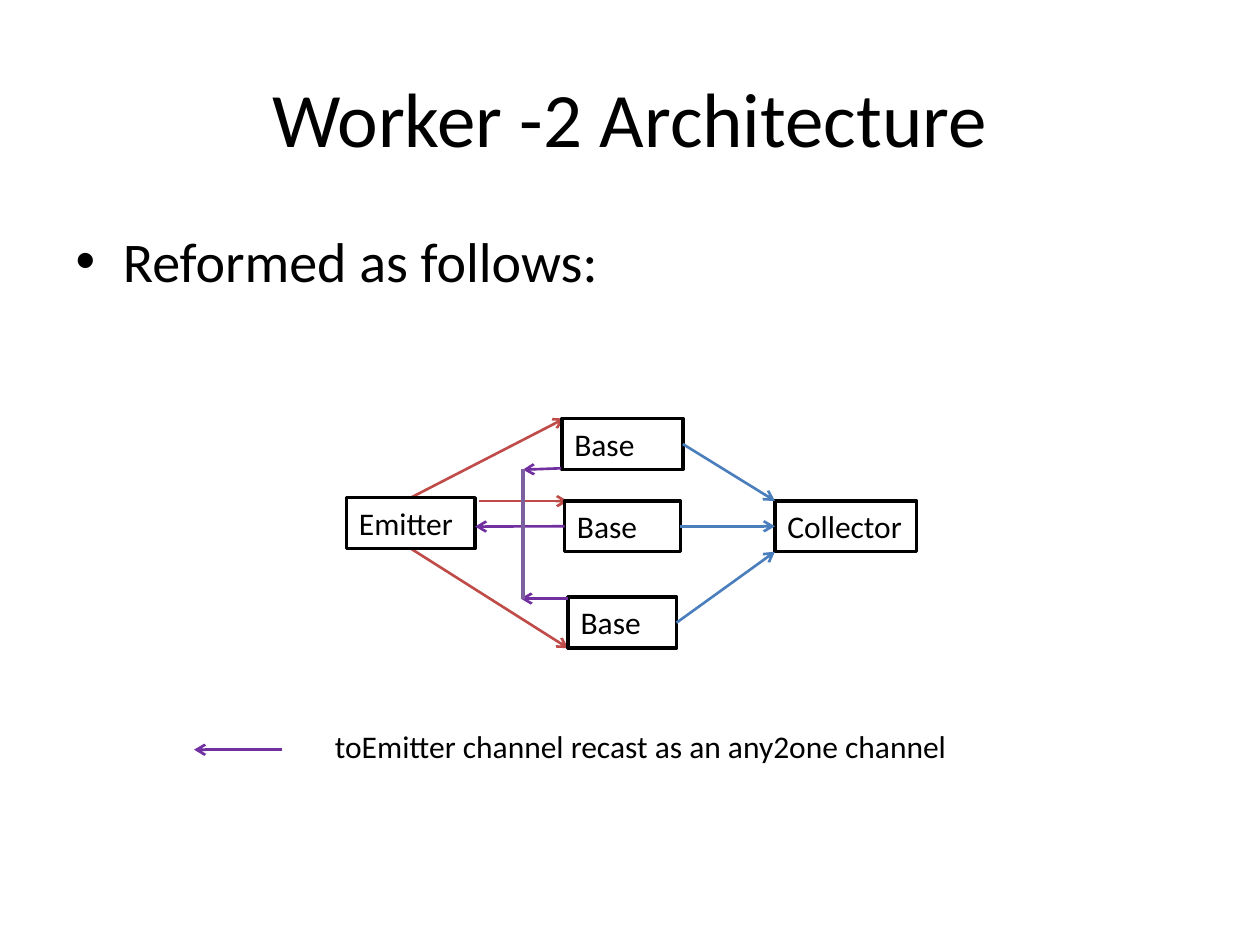
import pptx
import pptx.util
import pptx.dml.color
import pptx.enum.shapes
import pptx.enum.text
from lxml import etree

Pt = pptx.util.Pt
FONT, BLACK, WHITE = "Calibri", "000000", "FFFFFF"
RED, BLUE, PURPLE, VIOLET = "BF4C48", "4B7EBC", "7030A0", "7D60A0"
BOX_HEIGHT = 29.08

TITLE = ("Worker -2 Architecture", (36, 21.6, 648, 90), 44)
BODY = ("Reformed as follows:", (36, 126, 648, 70.6), 32)
LEGEND = ("toEmitter channel recast as an any2one channel", (184.3, 412, 368.6, BOX_HEIGHT))

# name: text, left, top, width
BOXES = {
    "emitter": ("Emitter", 198, 284.4, 73.5),
    "top": ("Base", 321.1, 239.2, 69.1),
    "middle": ("Base", 322.6, 286.2, 66.2),
    "bottom": ("Base", 324.7, 341.3, 61.9),
    "collector": ("Collector", 442.8, 286.2, 80.9),
}


def spot(name, across, down):
    """Return the point at the given fractions of a box's width and height."""
    _, left, top, width = BOXES[name]
    return left + across * width, top + down * BOX_HEIGHT


BUS_X, BUS_TOP, BUS_BOTTOM = 298.8, 268, 342
LEGEND_Y = 428.4
# start, end, colour, width, has arrowhead
TO_WORKERS = [
    (spot("emitter", 0.5, 0), spot("top", 0.02, 0), RED, 1.5, True),
    ((273.6, 286.4), (324.6, 286.4), RED, 1.5, True),
    (spot("emitter", 0.5, 1), spot("bottom", 0, 1), RED, 1.5, True),
]
FROM_WORKERS = [
    (spot("top", 1, 0.5), spot("collector", 0, 0), BLUE, 1.5, True),
    (spot("middle", 1, 0.5), spot("collector", 0, 0.5), BLUE, 1.5, True),
    (spot("bottom", 1, 0.5), spot("collector", 0, 1), BLUE, 1.5, True),
    (spot("middle", 0, 0.5), (271.5, 300.9), PURPLE, 1.5, True),
    ((324.7, BUS_BOTTOM), (297.5, BUS_BOTTOM), PURPLE, 1.5, True),
    ((320.6, 267.6), (BUS_X, 268.4), PURPLE, 1.5, True),
    ((BUS_X, BUS_TOP), (BUS_X, BUS_BOTTOM), VIOLET, 2.25, False),
    ((161.3, LEGEND_Y), (110.9, LEGEND_Y), PURPLE, 1.5, True),
]


def colour(value):
    """Turn a hex string into a colour."""
    return pptx.dml.color.RGBColor.from_string(value)


def write(shape, text, size):
    """Set the text of a shape and format its runs."""
    shape.text_frame.text = text
    for para in shape.text_frame.paragraphs:
        for span in para.runs:
            span.font.name = FONT
            span.font.size = Pt(size)
            span.font.color.rgb = colour(BLACK)


def fill_placeholder(shape, text, place, size):
    """Move a placeholder and write its text."""
    shape.left, shape.top, shape.width, shape.height = map(Pt, place)
    write(shape, text, size)


def add_box(slide, text, left, top, width):
    """Add a white box with a black outline and left-aligned text."""
    box = slide.shapes.add_shape(
        pptx.enum.shapes.MSO_SHAPE.RECTANGLE, Pt(left), Pt(top), Pt(width), Pt(BOX_HEIGHT))
    box.shadow.inherit = False
    box.fill.solid()
    box.fill.fore_color.rgb = colour(WHITE)
    box.line.color.rgb = colour(BLACK)
    box.line.width = Pt(2)
    write(box, text, 18)
    box.text_frame.word_wrap = False
    box.text_frame.vertical_anchor = pptx.enum.text.MSO_ANCHOR.TOP
    box.text_frame.paragraphs[0].alignment = pptx.enum.text.PP_ALIGN.LEFT


def add_line(slide, start, end, line_colour, width, has_head):
    """Add a straight line, with an open arrowhead at its end if asked."""
    line = slide.shapes.add_connector(
        pptx.enum.shapes.MSO_CONNECTOR.STRAIGHT, *map(Pt, start + end))
    line.line.color.rgb = colour(line_colour)
    line.line.width = Pt(width)
    outline = line.line._get_or_add_ln()
    namespace = "{" + outline.nsmap["a"] + "}"
    if has_head:
        etree.SubElement(outline, namespace + "tailEnd", type="arrow")
    etree.SubElement(outline.getparent(), namespace + "effectLst")


deck = pptx.Presentation()
deck.slide_width, deck.slide_height = Pt(720), Pt(540)
slide = deck.slides.add_slide(deck.slide_layouts[1])
fill_placeholder(slide.shapes.title, *TITLE)
fill_placeholder(slide.placeholders[1], *BODY)

for link in TO_WORKERS:
    add_line(slide, *link)
for box in BOXES.values():
    add_box(slide, *box)
for link in FROM_WORKERS:
    add_line(slide, *link)

legend_text, legend_place = LEGEND
legend = slide.shapes.add_textbox(*map(Pt, legend_place))
write(legend, legend_text, 18)
legend.text_frame.word_wrap = True

deck.save("out.pptx")
